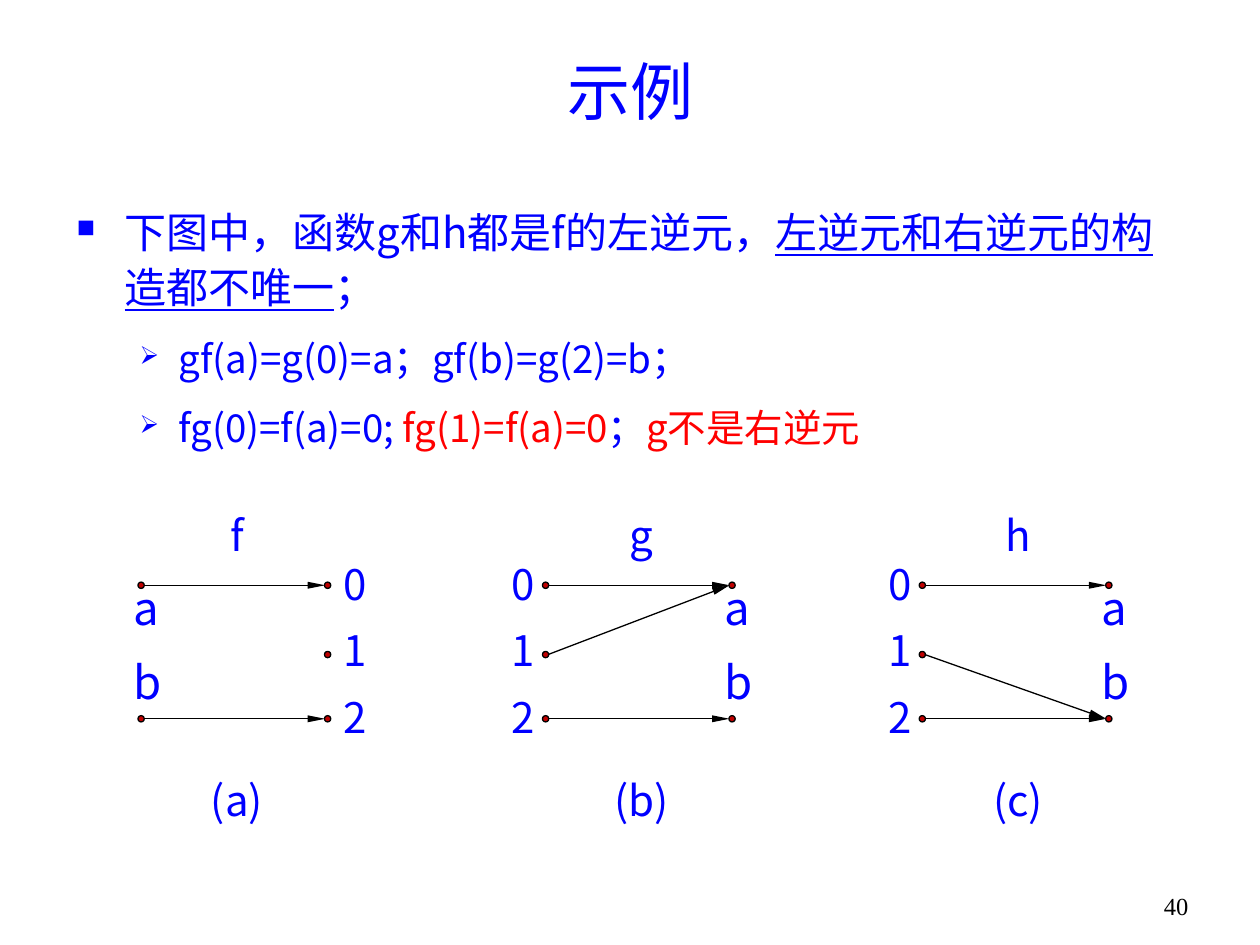
from dataclasses import dataclass

from lxml.etree import SubElement
from pptx import Presentation
from pptx.dml.color import RGBColor
from pptx.enum.shapes import MSO_CONNECTOR as Connector, MSO_SHAPE as Shape
from pptx.enum.text import MSO_ANCHOR as Anchor, PP_ALIGN as Align
from pptx.oxml.ns import qn
from pptx.util import Inches, Pt


@dataclass(frozen=True)
class Theme:
    font: str = "Noto Sans CJK SC"
    number_font: str = "Times New Roman"
    blue: RGBColor = RGBColor(0, 0, 255)
    red: RGBColor = RGBColor(255, 0, 0)
    dot: RGBColor = RGBColor(192, 0, 0)
    black: RGBColor = RGBColor(0, 0, 0)
    title: int = 36
    body: int = 24
    sub: int = 22
    label: int = 24
    letter: int = 26
    number: int = 14
    line: float = 0.75


THEME = Theme()
DOT_SIZE = 0.05
SPAN = 1.48
DOT_ROWS = (4.645, 5.195, 5.705)
LETTER_ROWS = {"a": 0, "b": 2}
LABEL_HEIGHT = 0.36

# Name, caption, left column x, whether the letters stand left,
# and arrows as (left row, right row)
DIAGRAMS = (
    ("f", "(a)", 1.12, True, ((0, 0), (2, 2))),
    ("g", "(b)", 4.33, False, ((0, 0), (2, 2), (1, 0))),
    ("h", "(c)", 7.32, False, ((0, 0), (2, 2), (1, 2))),
)


def style(paragraph, size, color=THEME.blue, font=THEME.font):
    """Set size, colour and both Latin and East Asian typefaces."""
    paragraph.font.size = Pt(size)
    paragraph.font.color.rgb = color
    paragraph.font.name = font
    latin = paragraph._p.pPr.find(qn("a:defRPr")).find(qn("a:latin"))
    east_asian = latin.makeelement(qn("a:ea"), {"typeface": font})
    latin.addnext(east_asian)


def add_bullet(paragraph, char, percent, margin, hang):
    properties = paragraph._p.get_or_add_pPr()
    properties.set("marL", str(Inches(margin)))
    properties.set("indent", str(-Inches(hang)))
    color = SubElement(properties, qn("a:buClr"))
    SubElement(color, qn("a:srgbClr"), val=str(THEME.blue))
    SubElement(properties, qn("a:buSzPct"), val=str(percent * 1000))
    SubElement(properties, qn("a:buChar"), char=char)


def add_title(page, text):
    title = page.shapes.title
    title.left, title.top = Inches(0.75), Inches(0.36)
    title.width, title.height = Inches(8.5), Inches(0.71)
    title.text_frame.text = text
    title.text_frame.vertical_anchor = Anchor.MIDDLE
    para = title.text_frame.paragraphs[0]
    para.alignment = Align.CENTER
    style(para, THEME.title)


def add_body(page):
    box = page.shapes.add_textbox(Inches(0.51), Inches(1.55), Inches(8.98), Inches(2.28))
    frame = box.text_frame
    frame.word_wrap = True
    # Each item: level, then spans of (text, colour override, underline)
    items = (
        (0, (("下图中，函数g和h都是f的左逆元，", None, False),
             ("左逆元和右逆元的构造都不唯一", None, True),
             ("；", None, False))),
        (1, (("gf(a)=g(0)=a；gf(b)=g(2)=b；", None, False),)),
        (1, (("fg(0)=f(a)=0; ", None, False),
             ("fg(1)=f(a)=0", THEME.red, False),
             ("；", None, False),
             ("g不是右逆元", THEME.red, False))),
    )
    bullets = (("■", 60, 0.38, 0.38), ("➢", 65, 0.81, 0.31))
    for index, (level, spans) in enumerate(items):
        para = frame.add_paragraph() if index else frame.paragraphs[0]
        size = THEME.sub if level else THEME.body
        para.level = level
        add_bullet(para, *bullets[level])
        para.line_spacing = 1.1
        para.space_after = Pt(6)
        if index:
            para.space_before = Pt(size * 0.2)
        style(para, size)
        for text, color, underline in spans:
            span = para.add_run()
            span.text = text
            if color is not None:
                span.font.color.rgb = color
            if underline:
                span.font.underline = True


def add_label(shapes, text, left, top, width, size=THEME.label, align=Align.LEFT):
    box = shapes.add_textbox(Inches(left), Inches(top), Inches(width), Inches(LABEL_HEIGHT))
    frame = box.text_frame
    frame.margin_left = frame.margin_right = frame.margin_top = frame.margin_bottom = 0
    frame.word_wrap = True
    frame.text = text
    para = frame.paragraphs[0]
    para.alignment = align
    para.line_spacing = 0.9
    style(para, size)


def add_dot(shapes, x, y):
    corner = Inches(x - DOT_SIZE / 2), Inches(y - DOT_SIZE / 2)
    dot = shapes.add_shape(Shape.OVAL, *corner, Inches(DOT_SIZE), Inches(DOT_SIZE))
    dot.shadow.inherit = False
    dot.fill.solid()
    dot.fill.fore_color.rgb = THEME.dot
    dot.line.color.rgb = THEME.black
    dot.line.width = Pt(THEME.line)


def add_arrow(shapes, x1, y1, x2, y2):
    arrow = shapes.add_connector(
        Connector.STRAIGHT, Inches(x1), Inches(y1), Inches(x2), Inches(y2))
    arrow.line.color.rgb = THEME.black
    arrow.line.width = Pt(THEME.line)
    SubElement(arrow.line._get_or_add_ln(), qn("a:tailEnd"), type="triangle", w="sm", len="lg")
    SubElement(arrow._element.spPr, qn("a:effectLst"))


def add_diagram(page, name, caption, left, letters_left, arrows):
    shapes = page.shapes.add_group_shape().shapes
    right = left + SPAN
    letter_x, digit_x = (left, right) if letters_left else (right, left)
    digit_shift = 0.13 if letters_left else -0.27

    for row, y in enumerate(DOT_ROWS):
        add_dot(shapes, digit_x, y)
        add_label(shapes, str(row), digit_x + digit_shift, 4.48 + 0.525 * row, 0.2)
    for letter, row in LETTER_ROWS.items():
        add_dot(shapes, letter_x, DOT_ROWS[row])
        add_label(shapes, letter, letter_x - 0.06, 4.65 + 0.295 * row, 0.25, THEME.letter)
    for start, end in arrows:
        add_arrow(shapes, left + 0.02, DOT_ROWS[start], right - 0.02, DOT_ROWS[end])

    center = (left + right) / 2 + 0.02
    for text, top, width in ((name, 4.09, 0.24), (caption, 6.19, 0.71)):
        add_label(shapes, text, center - width / 2, top, width, align=Align.CENTER)


def add_page_number(page, number):
    box = page.shapes.add_textbox(Inches(9.02), Inches(7.02), Inches(0.63), Inches(0.37))
    box.text_frame.word_wrap = True
    box.text_frame.text = number
    para = box.text_frame.paragraphs[0]
    para.alignment = Align.CENTER
    style(para, THEME.number, THEME.black, THEME.number_font)


def main():
    deck = Presentation()
    deck.slide_width, deck.slide_height = Inches(10), Inches(7.5)
    page = deck.slides.add_slide(deck.slide_layouts[5])
    add_title(page, "示例")
    add_body(page)
    for diagram in DIAGRAMS:
        add_diagram(page, *diagram)
    add_page_number(page, "40")
    deck.save("out.pptx")


if __name__ == "__main__":
    main()
